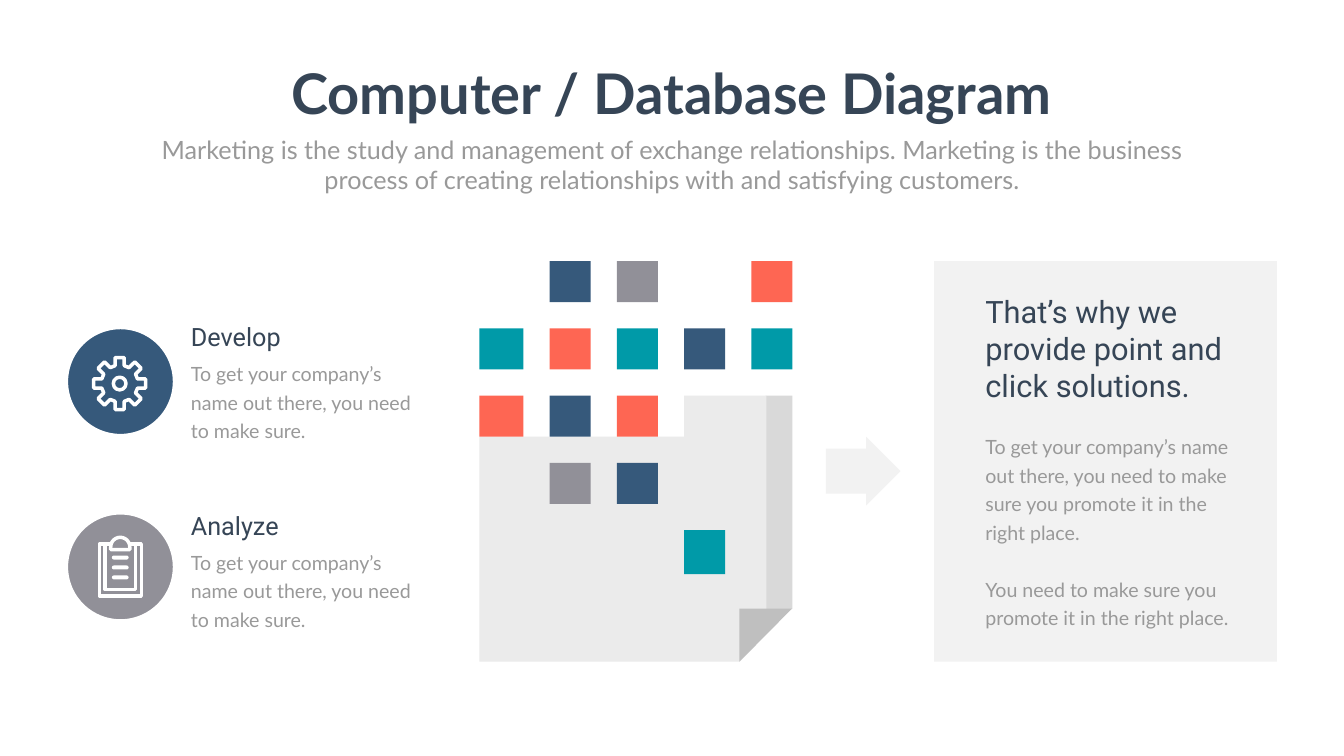
from math import cos, pi, sin

from pptx import Presentation
from pptx.dml.color import RGBColor
from pptx.enum.shapes import MSO_SHAPE
from pptx.enum.text import MSO_ANCHOR, MSO_AUTO_SIZE, PP_ALIGN
from pptx.util import Cm, Pt

WHITE = RGBColor(0xFF, 0xFF, 0xFF)
NAVY = RGBColor(0x36, 0x59, 0x7B)
TEAL = RGBColor(0x00, 0x9A, 0xA8)
CORAL = RGBColor(0xFE, 0x66, 0x53)
GREY = RGBColor(0x91, 0x90, 0x98)
PALE = RGBColor(0xF2, 0xF2, 0xF2)
SHEET = RGBColor(0xEB, 0xEB, 0xEB)
SHADE = RGBColor(0xD9, 0xD9, 0xD9)
FOLD = RGBColor(0xBF, 0xBF, 0xBF)
INK = RGBColor(0x36, 0x45, 0x56)
MUTED = RGBColor(0x99, 0x99, 0x99)

deck = Presentation()
deck.slide_width = Cm(67.72)
deck.slide_height = Cm(38.1)
page = deck.slides.add_slide(deck.slide_layouts[0])


def paint(shape, fill=None, line=None, width=5):
    shape.shadow.inherit = False
    if fill is None:
        shape.fill.background()
    else:
        shape.fill.solid()
        shape.fill.fore_color.rgb = fill
    if line is None:
        shape.line.fill.background()
    else:
        shape.line.color.rgb = line
        shape.line.width = Pt(width)


def add_shape(kind, left, top, width, height, fill=None, line=None, weight=5):
    shape = page.shapes.add_shape(kind, Cm(left), Cm(top), Cm(width), Cm(height))
    paint(shape, fill, line, weight)
    return shape


gear_x, gear_y = 6.03, 19.33
gear = []
for tooth in range(8):
    angle = tooth * pi / 4
    for side, radius in [(-0.23, 0.9), (-0.23, 1.31), (0.23, 1.31), (0.23, 0.9)]:
        gear.append((
            gear_x + radius * cos(angle) - side * sin(angle),
            gear_y + radius * sin(angle) + side * cos(angle),
        ))

clip_x, clip_y, clip_radius = 6.06, 27.56, 0.48
clip = [(clip_x + clip_radius, 27.7), (clip_x - clip_radius, 27.7)]
for step in range(13):
    angle = pi + step * pi / 12
    clip.append((clip_x + clip_radius * cos(angle), clip_y + clip_radius * sin(angle)))

strip = [(39.93, 19.94), (39.93, 30.68), (37.72, 31.57), (38.58, 19.94)]
sheet = [(34.47, 19.94), (34.47, 22), (24.16, 22), (24.16, 33.35),
         (37.26, 33.35), (38.61, 31.14), (38.61, 19.94)]
corner = [(37.26, 30.68), (37.26, 33.35), (39.9, 30.68)]

for top, colour in [(16.54, NAVY), (25.88, GREY)]:
    add_shape(MSO_SHAPE.OVAL, 3.38, top, 5.38, 5.38, colour, WHITE, 3)
add_shape(MSO_SHAPE.OVAL, gear_x - 0.32, gear_y - 0.32, 0.64, 0.64, None, WHITE)
for left, width, height in [(5.02, 2.1, 2.62), (5.3, 1.52, 2.3)]:
    add_shape(MSO_SHAPE.RECTANGLE, left, 27.42, width, height, None, WHITE)
for row in range(3):
    bar = add_shape(MSO_SHAPE.ROUNDED_RECTANGLE, 5.64, 28 + 0.5 * row, 0.84, 0.2, WHITE)
    bar.adjustments[0] = 0.5

for points, fill, line in [
    (strip, SHADE, None),
    (sheet, SHEET, None),
    (corner, FOLD, None),
    (gear, None, WHITE),
    (clip, GREY, WHITE),
]:
    corners = [(Cm(x), Cm(y)) for x, y in points]
    builder = page.shapes.build_freeform(*corners[0])
    builder.add_line_segments(corners[1:], close=True)
    paint(builder.convert_to_shape(), fill, line)

PIXELS = {"N": NAVY, "G": GREY, "C": CORAL, "T": TEAL}
pitch, side, stretch = 3.39, 2.07, 0.14
for row, pattern in enumerate([".NG.C", "TCTNT", "CNC..", ".GN..", "...T."]):
    for column, letter in enumerate(pattern):
        if letter in PIXELS:
            extra_left = stretch if column == 0 else 0
            extra_height = stretch if row == 4 else 0
            add_shape(MSO_SHAPE.RECTANGLE,
                      24.3 + pitch * column - extra_left, 13.16 + pitch * row,
                      side + extra_left, side + extra_height, PIXELS[letter])

add_shape(MSO_SHAPE.RECTANGLE, 47.07, 13.16, 17.27, 20.19, PALE)
arrow = add_shape(MSO_SHAPE.RIGHT_ARROW, 41.61, 22.02, 3.76, 3.45, PALE)
arrow.adjustments[0] = 0.66
arrow.adjustments[1] = 0.5

TITLE = {"name": "Lato", "size": Pt(80), "bold": True}
SUBTITLE = {"name": "Lato", "size": Pt(36), "bold": False}
LABEL = {"name": "Roboto", "size": Pt(36)}
HEADING = {"name": "Roboto", "size": Pt(44)}
BODY = {"name": "Lato", "size": Pt(28)}
CENTRED = {"alignment": PP_ALIGN.CENTER, "line_spacing": 1.0}
PLAIN = {"alignment": PP_ALIGN.LEFT}
SPACED = {"alignment": PP_ALIGN.LEFT, "line_spacing": Pt(40.8)}

title, subtitle = page.placeholders
texts = [
    (title, (14.22, 2.84, 39.24, 3.68), ["Computer / Database Diagram"], TITLE, INK, CENTRED),
    (subtitle, (7.42, 6.63, 52.88, 3.33),
     ["Marketing is the study and management of exchange relationships. "
      "Marketing is the business process of creating relationships with "
      "and satisfying customers."], SUBTITLE, MUTED, CENTRED),
    (None, (49.4, 14.63, 13.59, 5.89),
     ["That’s why we provide point and click solutions."], HEADING, INK, PLAIN),
    (None, (49.4, 21.54, 12.95, 10.34),
     ["To get your company’s name out there, you need to make sure "
      "you promote it in the right place.",
      "You need to make sure you promote it in the right place."], BODY, MUTED, SPACED),
]
for label, top in [("Develop", 16.08), ("Analyze", 25.58)]:
    texts.append((None, (9.37, top, 11.15, 1.8), [label], LABEL, INK, PLAIN))
    texts.append((None, (9.37, top + 1.8, 11.58, 4.5),
                  ["To get your company’s name out there, you need to make sure."],
                  BODY, MUTED, SPACED))

for box, place, lines, font_format, colour, paragraph_format in texts:
    lengths = [Cm(length) for length in place]
    if box is None:
        box = page.shapes.add_textbox(*lengths)
    box.left, box.top, box.width, box.height = lengths
    frame = box.text_frame
    frame.word_wrap = True
    frame.auto_size = MSO_AUTO_SIZE.NONE
    frame.vertical_anchor = MSO_ANCHOR.TOP
    for index, line in enumerate(lines):
        para = frame.add_paragraph() if index else frame.paragraphs[0]
        para.space_before = Pt(40.8 if index else 0)
        for key, value in paragraph_format.items():
            setattr(para, key, value)
        span = para.add_run()
        span.text = line
        for key, value in font_format.items():
            setattr(span.font, key, value)
        span.font.color.rgb = colour

deck.save("out.pptx")
